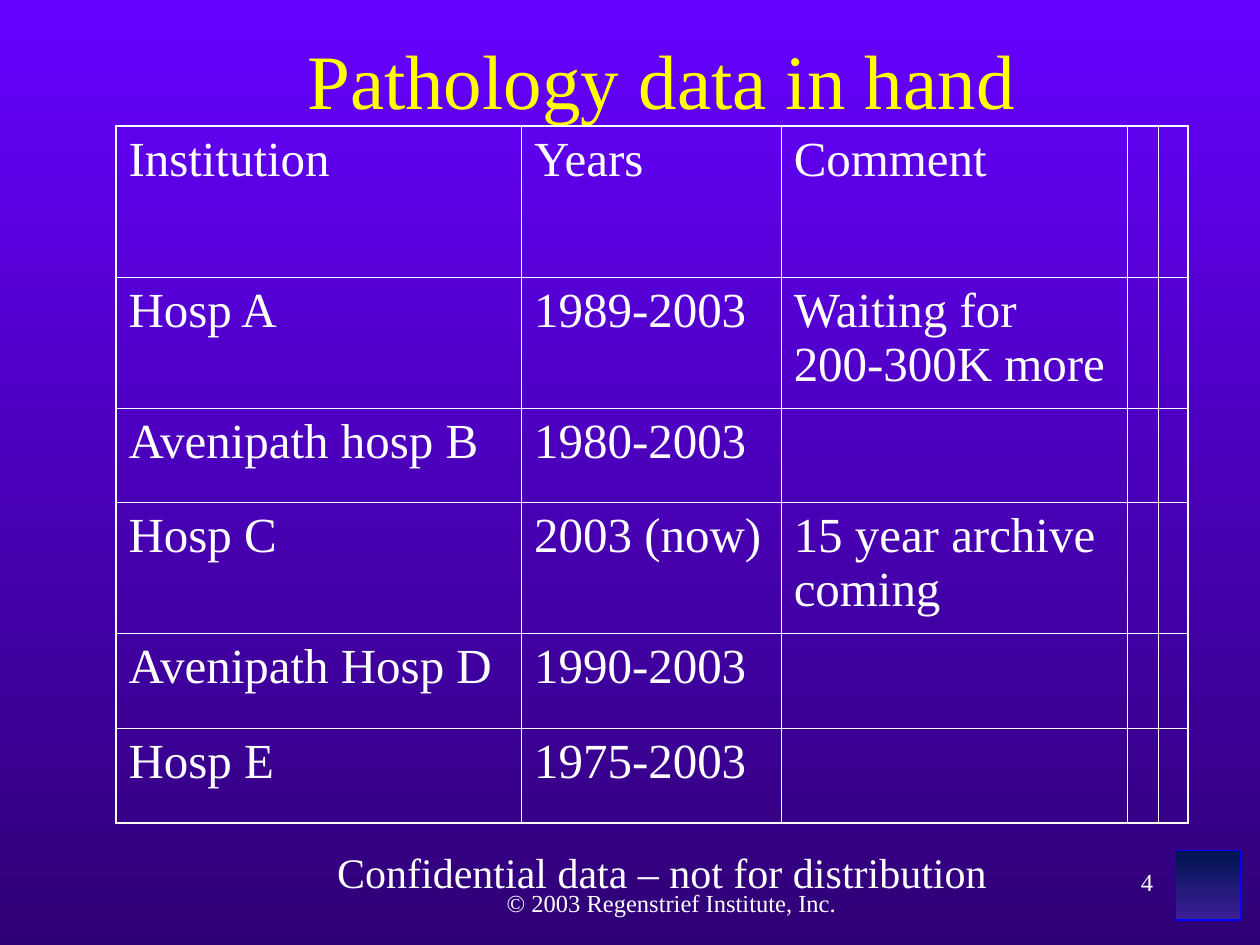
from dataclasses import dataclass

from lxml import etree
from pptx import Presentation
from pptx.dml.color import RGBColor
from pptx.enum.shapes import MSO_SHAPE
from pptx.enum.text import MSO_ANCHOR, MSO_AUTO_SIZE, PP_ALIGN
from pptx.oxml.ns import qn
from pptx.util import Inches, Pt

LEFT, CENTER, RIGHT = PP_ALIGN.LEFT, PP_ALIGN.CENTER, PP_ALIGN.RIGHT
TOP, MIDDLE = MSO_ANCHOR.TOP, MSO_ANCHOR.MIDDLE
NO_AUTOFIT = MSO_AUTO_SIZE.NONE
RECTANGLE = MSO_SHAPE.RECTANGLE


@dataclass(frozen=True)
class Theme:
    font: str = "Times New Roman"
    title_color: str = "FFFF00"
    text_color: str = "FFFFFF"
    background: tuple = ("6600FF", "2F0075")
    emblem: tuple = ("001452", "3D1E96")
    emblem_line: str = "0000FF"
    title_size: int = 44
    table_size: int = 28
    notice_size: int = 24
    footer_size: int = 14
    outer_border: float = 1.08
    inner_border: float = 0.45


theme = Theme()


def write_text(text_frame, text, size, color=theme.text_color, align=LEFT, anchor=TOP):
    text_frame.word_wrap = True
    text_frame.auto_size = NO_AUTOFIT
    text_frame.vertical_anchor = anchor
    paragraph = text_frame.paragraphs[0]
    paragraph.alignment = align
    run = paragraph.add_run()
    run.text = text
    run.font.name = theme.font
    run.font.size = Pt(size)
    run.font.color.rgb = RGBColor.from_string(color)


def apply_gradient(fill, colors):
    fill.gradient()
    fill.gradient_angle = 270
    for stop, color in zip(fill.gradient_stops, colors):
        stop.color.rgb = RGBColor.from_string(color)


presentation = Presentation()
presentation.slide_width = Inches(10)
presentation.slide_height = Inches(7.5)
slide = presentation.slides.add_slide(presentation.slide_layouts[5])
apply_gradient(slide.background.fill, theme.background)

emblem = slide.shapes.add_shape(
    RECTANGLE, Inches(9.33), Inches(6.75), Inches(0.52), Inches(0.55))
emblem.shadow.inherit = False
apply_gradient(emblem.fill, theme.emblem)
emblem.line.color.rgb = RGBColor.from_string(theme.emblem_line)
emblem.line.width = Pt(1)

title = slide.shapes.title
title.left, title.top = Inches(1), Inches(0)
title.width, title.height = Inches(8.5), Inches(1.25)
write_text(title.text_frame, "Pathology data in hand", theme.title_size,
           color=theme.title_color, align=CENTER, anchor=MIDDLE)

rows = [
    ("Institution", "Years", "Comment", "", ""),
    ("Hosp A", "1989-2003", "Waiting for 200-300K more", "", ""),
    ("Avenipath hosp B", "1980-2003", "", "", ""),
    ("Hosp C", "2003 (now)", "15 year archive coming", "", ""),
    ("Avenipath Hosp D", "1990-2003", "", "", ""),
    ("Hosp E", "1975-2003", "", "", ""),
]
column_widths = [3.22, 2.06, 2.75, 0.24, 0.24]
row_heights = [1.2, 1.04, 0.75, 1.04, 0.75, 0.75]
table = slide.shapes.add_table(
    len(rows), len(column_widths), Inches(0.92), Inches(1),
    Inches(sum(column_widths)), Inches(sum(row_heights))).table
table.first_row = False
table.horz_banding = False
for column, width in zip(table.columns, column_widths):
    column.width = Inches(width)
for row, height in zip(table.rows, row_heights):
    row.height = Inches(height)

last_row, last_column = len(rows) - 1, len(column_widths) - 1
for row_index, row in enumerate(rows):
    for column_index, text in enumerate(row):
        cell = table.cell(row_index, column_index)
        outer_sides = {
            "a:lnL": column_index == 0,
            "a:lnR": column_index == last_column,
            "a:lnT": row_index == 0,
            "a:lnB": row_index == last_row,
        }
        properties = cell._tc.get_or_add_tcPr()
        for side, is_outer in outer_sides.items():
            width = theme.outer_border if is_outer else theme.inner_border
            border = etree.SubElement(properties, qn(side), w=str(Pt(width)))
            border_fill = etree.SubElement(border, qn("a:solidFill"))
            etree.SubElement(border_fill, qn("a:srgbClr"), val=theme.text_color)
        cell.fill.background()
        if text:
            paragraph = cell.text_frame.paragraphs[0]
            paragraph.text = text
            paragraph.font.name = theme.font
            paragraph.font.size = Pt(theme.table_size)
            paragraph.font.color.rgb = RGBColor.from_string(theme.text_color)

captions = [
    ("Confidential data – not for distribution",
     (1.67, 6.67, 7.17, 0.5), theme.notice_size, CENTER),
    ("© 2003 Regenstrief Institute, Inc.",
     (3.08, 7, 4.5, 0.34), theme.footer_size, CENTER),
    ("4", (7.17, 6.83, 2.08, 0.5), theme.footer_size, RIGHT),
]
for text, box, size, align in captions:
    caption = slide.shapes.add_textbox(*[Inches(length) for length in box])
    write_text(caption.text_frame, text, size, align=align)

presentation.save("out.pptx")
